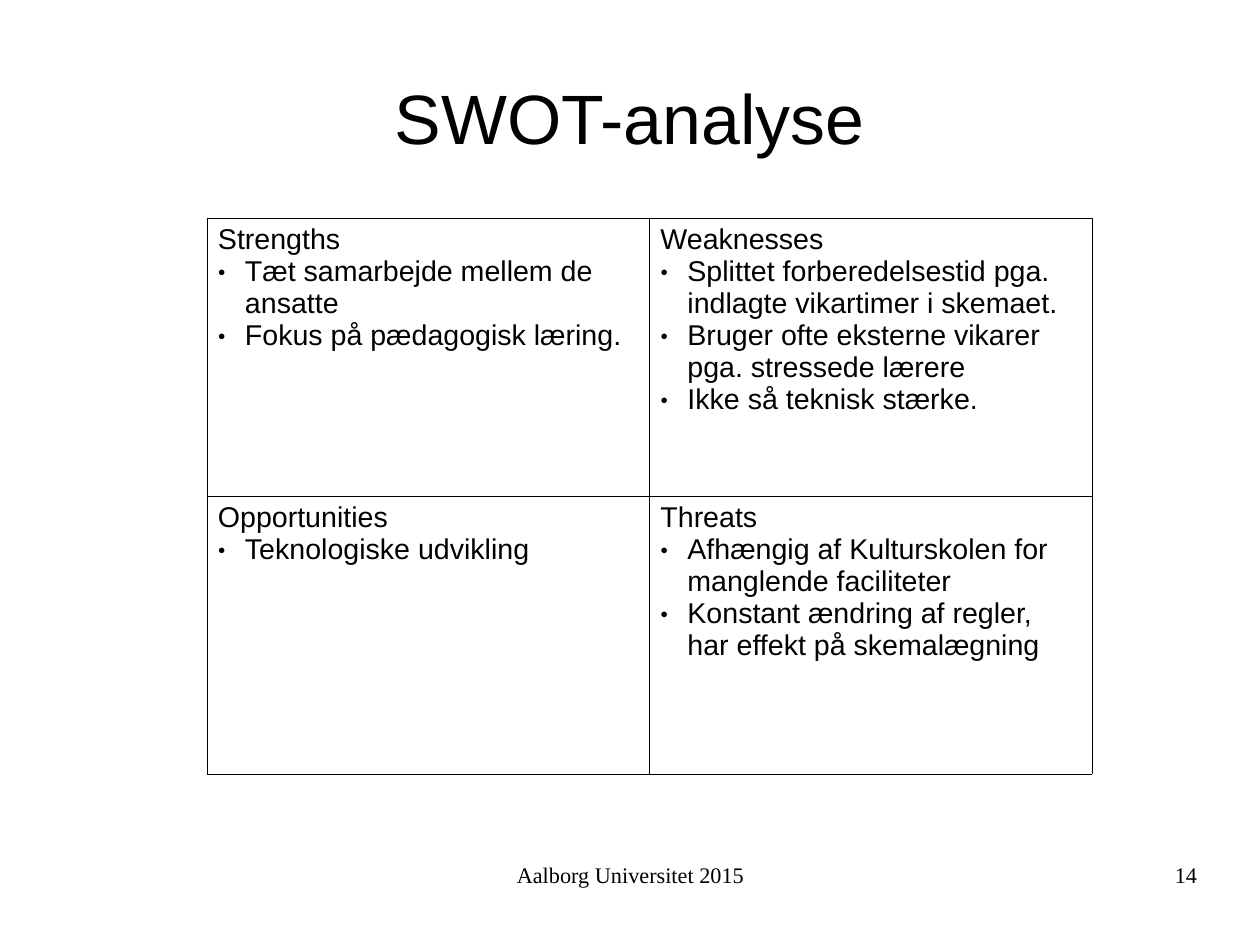
import pptx
import pptx.dml.color
import pptx.enum.text
import pptx.oxml
import pptx.oxml.ns
import pptx.util

PX = 8000  # EMU per px, the slide is 28 by 21 cm
BLACK = pptx.dml.color.RGBColor(0, 0, 0)
ALIGN = pptx.enum.text.PP_ALIGN
ANCHOR = pptx.enum.text.MSO_ANCHOR
NS = pptx.oxml.ns.nsdecls("a")

SWOT = [
    [("Strengths", ["Tæt samarbejde mellem de ansatte",
                    "Fokus på pædagogisk læring."]),
     ("Weaknesses", ["Splittet forberedelsestid pga. indlagte vikartimer i skemaet.",
                     "Bruger ofte eksterne vikarer pga. stressede lærere",
                     "Ikke så teknisk stærke."])],
    [("Opportunities", ["Teknologiske udvikling"]),
     ("Threats", ["Afhængig af Kulturskolen for manglende faciliteter",
                  "Konstant ændring af regler, har effekt på skemalægning"])],
]


def px(*lengths):
    return [pptx.util.Emu(n * PX) for n in lengths]


def write(tf, text, size=18, font="Arial", align=ALIGN.LEFT, bullet=False):
    """Add one paragraph, reusing the first one while the frame is empty."""
    p = tf.add_paragraph() if tf.text else tf.paragraphs[0]
    p.alignment = align
    if bullet:
        pPr = p._p.get_or_add_pPr()
        pPr.set("marL", str(27 * PX))
        pPr.set("indent", str(-27 * PX))
        for tag in ('buClr {}><a:srgbClr val="000000"/></a:buClr>',
                    'buSzPct {} val="45000"/>',
                    'buFont {} typeface="Arial"/>',
                    'buChar {} char="●"/>'):
            pPr.append(pptx.oxml.parse_xml("<a:" + tag.format(NS)))
    r = p.add_run()
    r.text = text
    r.font.size = pptx.util.Pt(size)
    r.font.name = font
    r.font.color.rgb = BLACK


prs = pptx.Presentation()
prs.slide_width, prs.slide_height = px(1260, 945)
s = prs.slides.add_slide(prs.slide_layouts[5])

# Title
title = s.shapes.title
title.left, title.top, title.width, title.height = px(63, 38, 1134, 158)
tf = title.text_frame
tf.margin_left = tf.margin_right = tf.margin_top = tf.margin_bottom = 0
tf.vertical_anchor = ANCHOR.MIDDLE
tf.auto_size = pptx.enum.text.MSO_AUTO_SIZE.NONE
write(tf, "SWOT-analyse", size=44, align=ALIGN.CENTER)

# SWOT table
table = s.shapes.add_table(2, 2, *px(207, 218, 885, 556)).table
table.first_row = table.horz_banding = False
for row, quadrants in zip(table.rows, SWOT):
    for cell, (heading, points) in zip(row.cells, quadrants):
        cell.margin_left, cell.margin_right = px(11, 11)
        cell.margin_top, cell.margin_bottom = px(6, 6)
        cell.vertical_anchor = ANCHOR.TOP
        tcPr = cell._tc.get_or_add_tcPr()
        for side in "LRTB":
            tcPr.append(pptx.oxml.parse_xml(
                f'<a:ln{side} {NS} w="7200"><a:solidFill><a:srgbClr val="000000"/>'
                f'</a:solidFill></a:ln{side}>'))
        cell.fill.background()
        write(cell.text_frame, heading)
        for point in points:
            write(cell.text_frame, point, bullet=True)

# Footer and slide number
for text, left, width, align in [("Aalborg Universitet 2015", 431, 399, ALIGN.CENTER),
                                 ("14", 903, 294, ALIGN.RIGHT)]:
    tf = s.shapes.add_textbox(*px(left, 861, width, 65)).text_frame
    tf.word_wrap = True
    tf.margin_left = tf.margin_right = tf.margin_top = tf.margin_bottom = 0
    write(tf, text, size=14, font="Times New Roman", align=align)

prs.save("out.pptx")
